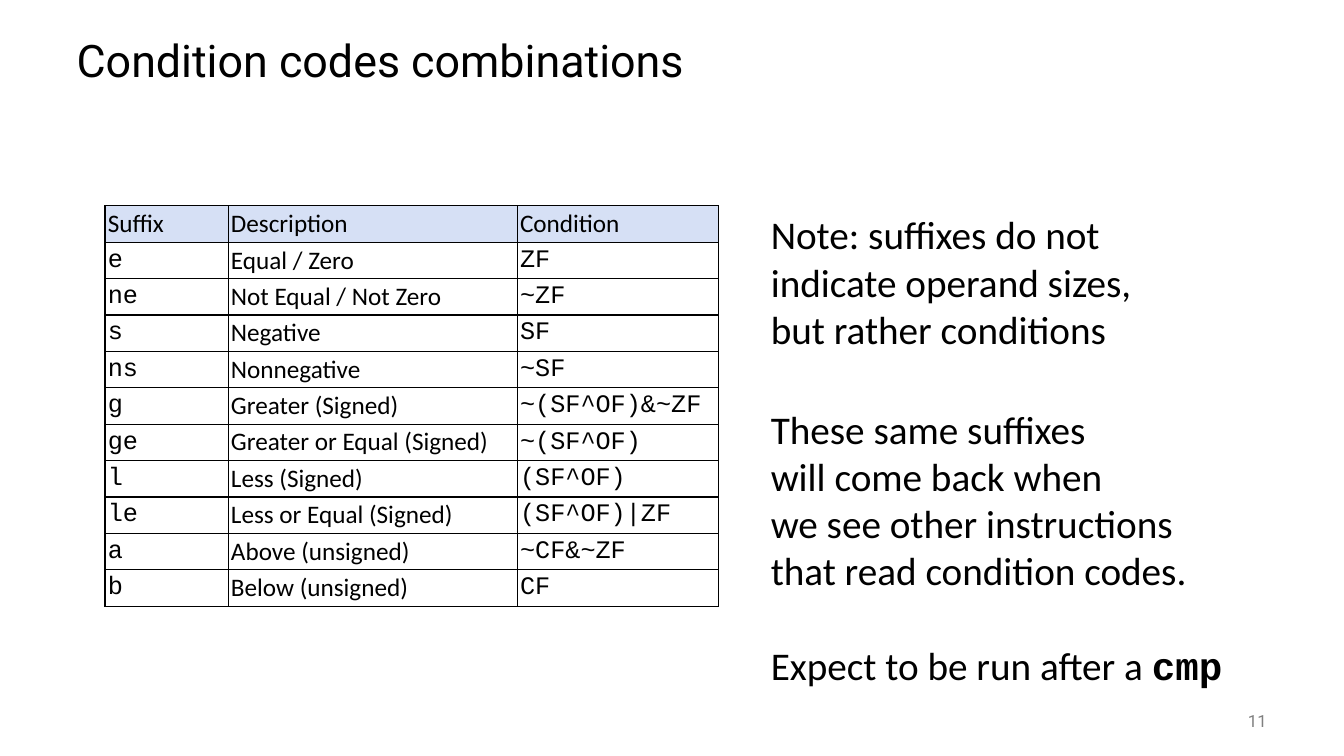
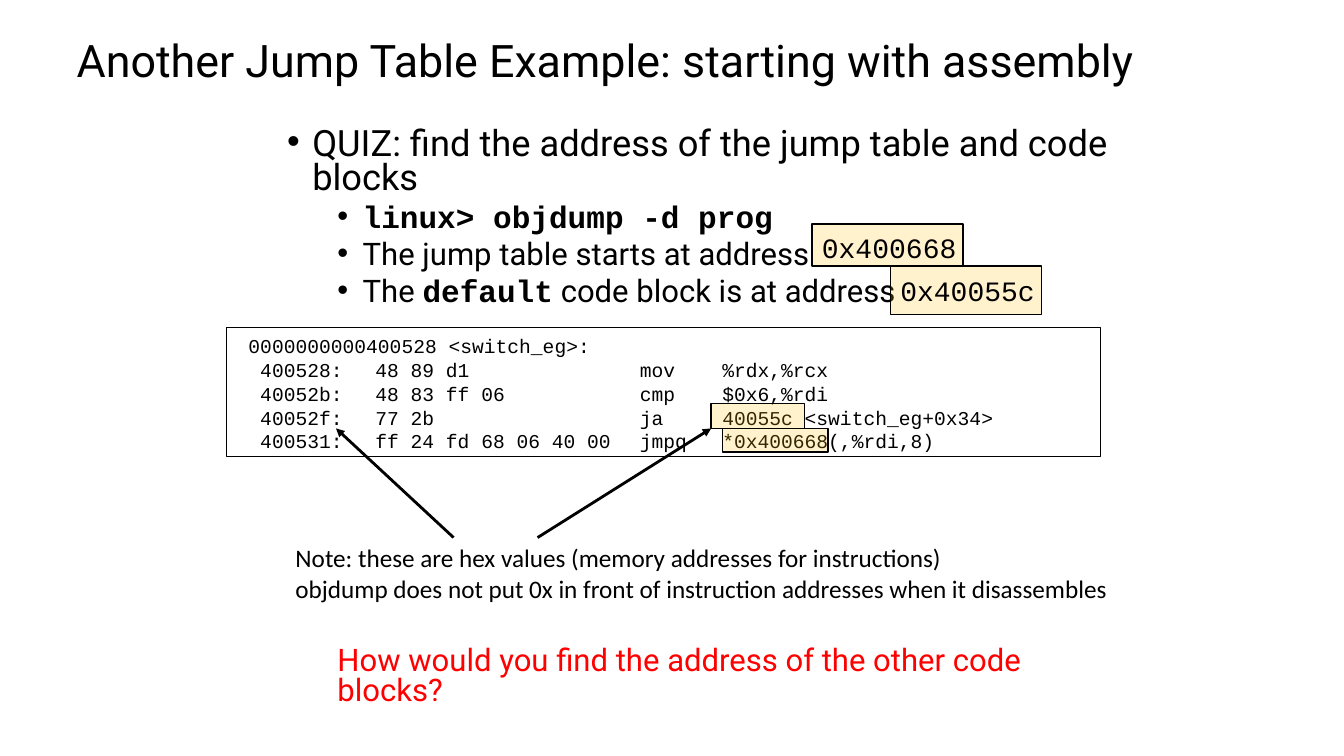
from pptx import Presentation
from pptx.dml.color import RGBColor as Rgb
from pptx.enum.shapes import MSO_CONNECTOR as Conn, MSO_SHAPE as Form
from pptx.enum.text import MSO_ANCHOR as Anchor, MSO_AUTO_SIZE as Auto, PP_ALIGN as Align
from pptx.oxml import parse_xml as to_xml
from pptx.oxml.ns import nsdecls, qn
from pptx.util import Pt

# Shared look
BLACK, GREY, RED = "000000", "808080", "FF0000"
HEAD, AMBER = "D6E0F5", "FFC000"
SANS, MONO, MAIN = "Calibri", "Courier New", "Roboto"
TITLE = {"name": MAIN, "size": Pt(32)}
TIGHT = {"line_spacing": 0.8}
SUB = {"line_spacing": 0.8, "space_before": Pt(5)}

ROWS = [
    ("Suffix", "Description", "Condition"),
    ("e", "Equal / Zero", "ZF"),
    ("ne", "Not Equal / Not Zero", "~ZF"),
    ("s", "Negative", "SF"),
    ("ns", "Nonnegative", "~SF"),
    ("g", "Greater (Signed)", "~(SF^OF)&~ZF"),
    ("ge", "Greater or Equal (Signed)", "~(SF^OF)"),
    ("l", "Less (Signed)", "(SF^OF)"),
    ("le", "Less or Equal (Signed)", "(SF^OF)|ZF"),
    ("a", "Above (unsigned)", "~CF&~ZF"),
    ("b", "Below (unsigned)", "CF"),
]
CODE = [
    " 0000000000400528 <switch_eg>:",
    "  400528:\t48 89 d1             \tmov    %rdx,%rcx",
    "  40052b:\t48 83 ff 06          \tcmp    $0x6,%rdi",
    "  40052f:\t77 2b                \tja     40055c <switch_eg+0x34>",
    "  400531:\tff 24 fd 68 06 40 00 \tjmpq   *0x400668(,%rdi,8)",
]


# Basic helpers
def paint(part, hue):
    part.rgb = Rgb.from_string(hue)


def node(tag, inner="", **atts):
    text = "".join(f' {key}="{val}"' for key, val in atts.items())
    return to_xml(f"<a:{tag} {nsdecls('a')}{text}>{inner}</a:{tag}>")


def apply(item, form):
    for key, val in form.items():
        setattr(item, key, val)


def add_run(para, text, font, hue=BLACK):
    run = para.add_run()
    run.text = text
    apply(run.font, font)
    paint(run.font.color, hue)


def bullet(para, left):
    prop = para._p.get_or_add_pPr()
    prop.set("marL", str(Pt(left)))
    prop.set("indent", str(-Pt(18)))
    prop.append(node("buFont", typeface="Arial"))
    prop.append(node("buChar", char="•"))


def set_tabs(para, *stops):
    tabs = node("tabLst")
    for stop in stops:
        tabs.append(node("tab", pos=Pt(stop), algn="l"))
    para._p.get_or_add_pPr().append(tabs)


def next_para(frame, first):
    return frame.paragraphs[0] if first else frame.add_paragraph()


# Kinds of element
def new_slide(deck, text):
    slide = deck.slides.add_slide(deck.slide_layouts[5])
    title = slide.shapes.title
    apply(title, {"left": Pt(47.5), "top": Pt(18), "width": Pt(864), "height": Pt(54)})
    frame = title.text_frame
    apply(frame, {"auto_size": Auto.NONE, "vertical_anchor": Anchor.MIDDLE})
    para = frame.paragraphs[0]
    apply(para, {"alignment": Align.LEFT, "line_spacing": 0.9})
    add_run(para, text, TITLE)
    return slide


def text_box(slide, box, wrap=True, **form):
    frame = slide.shapes.add_textbox(*map(Pt, box)).text_frame
    apply(frame, {"word_wrap": wrap, **form})
    return frame


def add_lines(frame, lines, font, hue=BLACK, form=None):
    for num, line in enumerate(lines):
        para = next_para(frame, num == 0)
        apply(para, form or {})
        add_run(para, line, font, hue)


def add_box(slide, box, fill=None):
    shape = slide.shapes.add_shape(Form.RECTANGLE, *map(Pt, box))
    shape.shadow.inherit = False
    paint(shape.line.color, BLACK)
    shape.line.width = Pt(1)
    if fill:
        shape.fill.solid()
        paint(shape.fill.fore_color, fill)
        tint = shape.fill._xPr.find(qn("a:solidFill"))[0]
        tint.append(node("alpha", val=20000))
    else:
        shape.fill.background()
    return shape


def add_mark(slide, box, text=None):
    frame = add_box(slide, box, AMBER).text_frame
    if text:
        apply(frame, {"word_wrap": False, "vertical_anchor": Anchor.TOP,
                      "margin_top": Pt(5)})
        frame.paragraphs[0].alignment = Align.LEFT
        add_run(frame.paragraphs[0], text, {"name": MONO, "size": Pt(20)})


def add_arrow(slide, *ends):
    line = slide.shapes.add_connector(Conn.STRAIGHT, *map(Pt, ends))
    paint(line.line.color, BLACK)
    line.line.width = Pt(2)
    line.line._get_or_add_ln().append(node("tailEnd", type="triangle"))
    line._element.spPr.append(node("effectLst"))


def edge_cell(cell):
    prop = cell._tc.get_or_add_tcPr()
    for num, side in enumerate(("lnL", "lnR", "lnT", "lnB")):
        ink = f'<a:solidFill><a:srgbClr val="{BLACK}"/></a:solidFill>'
        prop.insert(num, node(side, ink, w=Pt(1)))


def add_grid(slide, left, top, widths, high):
    size = len(ROWS), len(widths)
    grid = slide.shapes.add_table(*size, Pt(left), Pt(top), Pt(sum(widths)),
                                  Pt(high * len(ROWS))).table
    apply(grid, {"first_row": False, "horz_banding": False})
    for col, wide in zip(grid.columns, widths):
        col.width = Pt(wide)
    sides = ("margin_left", "margin_right", "margin_top", "margin_bottom")
    for row, texts in enumerate(ROWS):
        grid.rows[row].height = Pt(high)
        for col, text in enumerate(texts):
            cell = grid.cell(row, col)
            apply(cell, dict.fromkeys(sides, Pt(2)))
            cell.vertical_anchor = Anchor.MIDDLE
            if row == 0:
                cell.fill.solid()
                paint(cell.fill.fore_color, HEAD)
            else:
                cell.fill.background()
            edge_cell(cell)
            face = SANS if row == 0 or col == 1 else MONO
            add_run(cell.text_frame.paragraphs[0], text, {"name": face, "size": Pt(18)})


# Slides
def codes_slide(deck):
    slide = new_slide(deck, "Condition codes combinations")
    add_grid(slide, 75, 147, (88, 206.5, 144), 26)

    # Notes beside the table
    big = {"name": SANS, "size": Pt(28)}
    note = text_box(slide, (543.5, 147, 275, 109), False)
    add_lines(note, ["Note: suffixes do not", "indicate operand sizes,",
                     "but rather conditions"], big)
    more = text_box(slide, (543.5, 286, 340, 211), False)
    add_lines(more, ["These same suffixes", "will come back when",
                     "we see other instructions", "that read condition codes."], big)
    last = more.add_paragraph()
    last.space_before = Pt(34)
    add_run(last, "Expect to be run after a ", big)
    add_run(last, "cmp", {**big, "name": MONO, "bold": True})

    # Page number
    page = text_box(slide, (840, 500, 72, 29), vertical_anchor=Anchor.MIDDLE)
    add_lines(page, ["11"], {"name": MAIN, "size": Pt(12)}, GREY,
              {"alignment": Align.RIGHT})


def jump_slide(deck):
    slide = new_slide(deck, "Another Jump Table Example: starting with assembly")
    plain = {"name": MAIN, "size": Pt(22.2)}
    mono = {**plain, "name": MONO, "bold": True}

    # Quiz bullets
    quiz = text_box(slide, (198, 88, 618, 140))
    items = [
        (18, TIGHT, [("QUIZ: find the address of the jump table and code blocks",
                      {**plain, "size": Pt(25.9)})]),
        (54, SUB, [("linux> objdump -d prog", mono)]),
        (54, SUB, [("The jump table starts at address", plain)]),
        (54, SUB, [("The ", plain), ("default", mono),
                   (" code block is at address", plain)]),
    ]
    for num, (left, form, runs) in enumerate(items):
        para = next_para(quiz, num == 0)
        bullet(para, left)
        apply(para, form)
        for text, font in runs:
            add_run(para, text, font)

    # Listing
    code = add_box(slide, (162, 234, 624, 92)).text_frame
    apply(code, {"word_wrap": True, "vertical_anchor": Anchor.TOP, "margin_top": Pt(4.5)})
    add_lines(code, CODE, {"name": MONO, "size": Pt(14)},
              form={"alignment": Align.LEFT, "line_spacing": Pt(17)})
    for para in code.paragraphs:
        set_tabs(para, 99, 288)

    # Answers and where they stand in the listing
    add_mark(slide, (508, 288, 66.5, 18))
    add_mark(slide, (636, 190, 108, 34.5), "0x40055c")
    add_mark(slide, (580, 160, 108, 30), "0x400668")
    add_mark(slide, (516, 306, 75.5, 17))

    # Note with arrows
    note = text_box(slide, (204, 384, 601, 51), False)
    add_lines(note, [
        "Note: these are hex values (memory addresses for instructions)",
        "objdump does not put 0x in front of instruction addresses when it disassembles",
    ], {"name": SANS, "size": Pt(18)})
    add_arrow(slide, 324, 384, 240, 306)
    add_arrow(slide, 384, 384, 508, 306)

    # Closing question
    ask = text_box(slide, (234, 459, 570, 50))
    add_lines(ask, ["How would you find the address of the other code blocks?"],
              plain, RED, TIGHT)


def main():
    deck = Presentation()
    apply(deck, {"slide_width": Pt(960), "slide_height": Pt(540)})
    codes_slide(deck)
    jump_slide(deck)
    deck.save("out.pptx")


if __name__ == "__main__":
    main()
